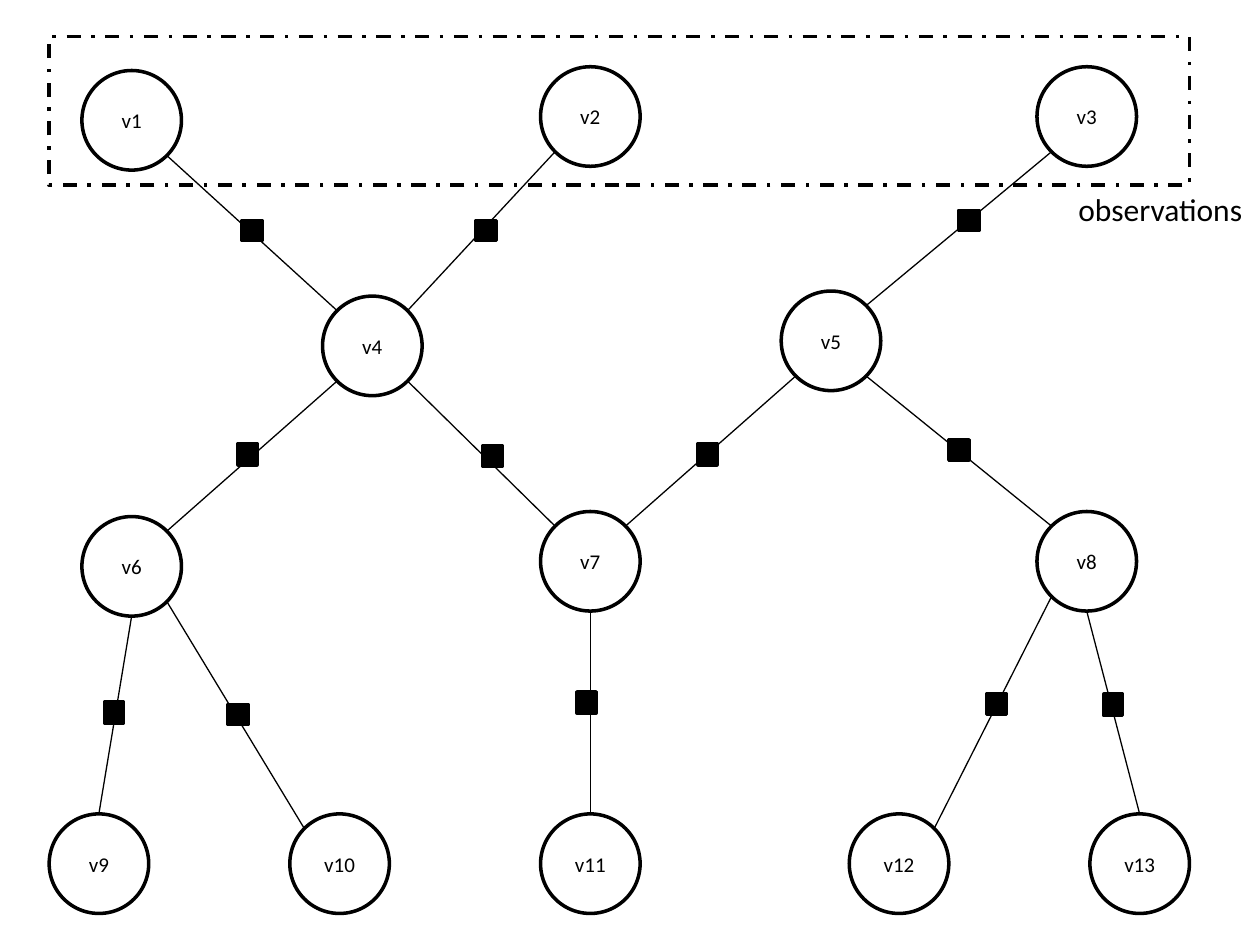
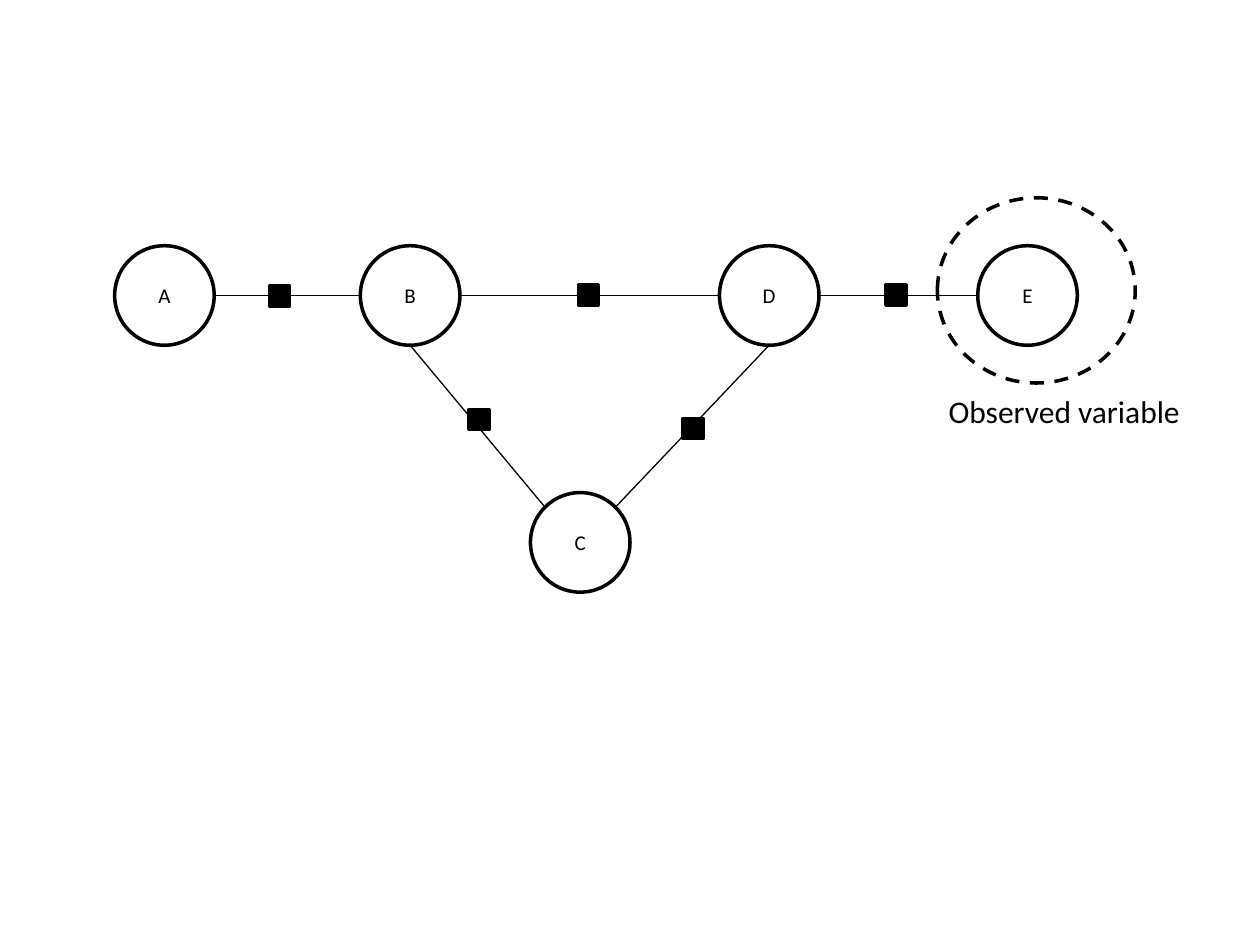
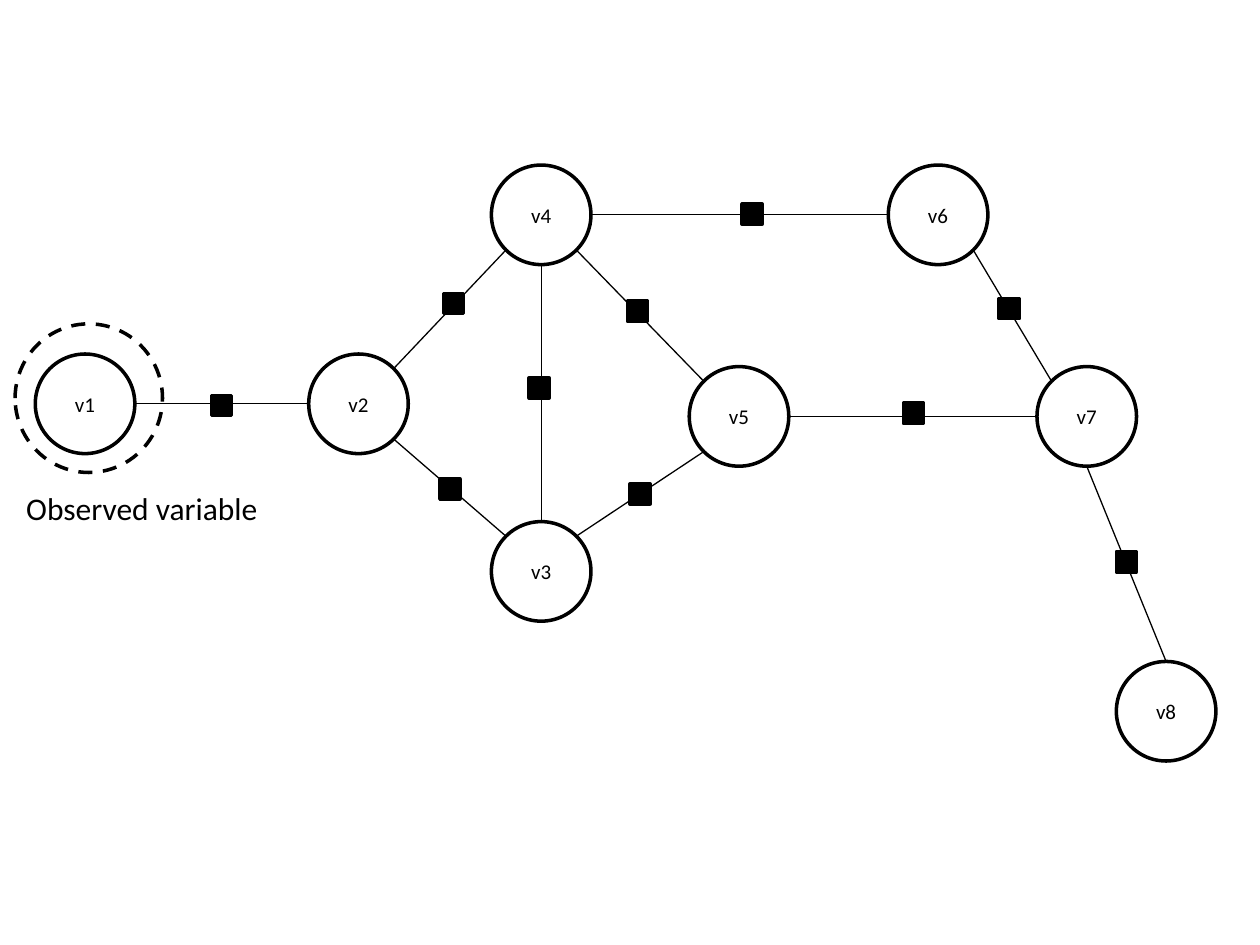
from math import sqrt

from lxml import etree
from pptx import Presentation
from pptx.dml.color import RGBColor
from pptx.enum.dml import MSO_LINE
from pptx.enum.shapes import MSO_CONNECTOR, MSO_SHAPE
from pptx.enum.text import MSO_ANCHOR, MSO_AUTO_SIZE, PP_ALIGN
from pptx.oxml.ns import qn
from pptx.util import Emu, Pt

PX = 9144  # EMU per px, 100 px to the inch
BLACK = RGBColor(0x00, 0x00, 0x00)
WHITE = RGBColor(0xFF, 0xFF, 0xFF)
FONT = "Calibri"
NODE_SIZE = 79
SQUARE = (16, 16)
TALL = (15, 17)

OVAL, RECTANGLE = MSO_SHAPE.OVAL, MSO_SHAPE.RECTANGLE
STRAIGHT = MSO_CONNECTOR.STRAIGHT
DASH, DASH_DOT = MSO_LINE.DASH, MSO_LINE.DASH_DOT
MIDDLE, CENTER, LEFT = MSO_ANCHOR.MIDDLE, PP_ALIGN.CENTER, PP_ALIGN.LEFT
GROW = MSO_AUTO_SIZE.SHAPE_TO_FIT_TEXT

DIAGONAL = 1 / sqrt(2)
# Compass points on a node's outline, as offsets in radii
SITES = {
    "N": (0, -1), "S": (0, 1), "W": (-1, 0), "E": (1, 0),
    "NW": (-DIAGONAL, -DIAGONAL), "NE": (DIAGONAL, -DIAGONAL),
    "SW": (-DIAGONAL, DIAGONAL), "SE": (DIAGONAL, DIAGONAL),
}

# Nodes: left, top. Edges: node, site, node, site, factor left, top, size.
TREE_NODES = {
    "v1": (65, 56), "v2": (429, 53), "v3": (823, 53),
    "v4": (256, 235), "v5": (620, 231),
    "v6": (65, 410), "v7": (429, 406), "v8": (823, 406),
    "v9": (39, 646), "v10": (230, 646), "v11": (429, 646),
    "v12": (674, 646), "v13": (865, 646),
}
TREE_EDGES = [
    ("v1", "SE", "v4", "NW", 192, 175, SQUARE),
    ("v2", "SW", "v4", "NE", 378, 175, SQUARE),
    ("v3", "SW", "v5", "NE", 761, 167, SQUARE),
    ("v5", "SW", "v7", "NE", 554, 352, TALL),
    ("v4", "SW", "v6", "NE", 189, 352, TALL),
    ("v4", "SE", "v7", "NW", 383, 354, SQUARE),
    ("v5", "SE", "v8", "NW", 753, 349, SQUARE),
    ("v6", "SE", "v10", "NW", 181, 559, SQUARE),
    ("v6", "S", "v9", "N", 83, 557, TALL),
    ("v7", "S", "v11", "N", 458, 549, TALL),
    ("v12", "NE", "v8", "SW", 783, 551, SQUARE),
    ("v13", "N", "v8", "S", 876, 551, TALL),
]

TRIANGLE_NODES = {
    "A": (91, 195), "B": (286, 195), "C": (421, 391),
    "D": (571, 195), "E": (776, 195),
}
TRIANGLE_EDGES = [
    ("A", "E", "B", "W", 214, 227, SQUARE),
    ("B", "E", "D", "W", 459, 226, SQUARE),
    ("B", "S", "C", "NW", 372, 325, SQUARE),
    ("C", "NE", "D", "S", 542, 332, SQUARE),
    ("D", "E", "E", "W", 703, 226, SQUARE),
]

LOOP_NODES = {
    "v1": (28, 281), "v2": (245, 281), "v4": (390, 131), "v3": (390, 414),
    "v5": (547, 291), "v6": (705, 131), "v7": (823, 291), "v8": (886, 525),
}
LOOP_EDGES = [
    ("v1", "E", "v2", "W", 168, 314, SQUARE),
    ("v2", "NE", "v4", "SW", 352, 233, SQUARE),
    ("v2", "SE", "v3", "NW", 349, 380, SQUARE),
    ("v4", "SE", "v5", "NW", 498, 239, SQUARE),
    ("v4", "S", "v3", "N", 420, 300, SQUARE),
    ("v3", "NE", "v5", "SW", 500, 384, SQUARE),
    ("v4", "E", "v6", "W", 589, 162, SQUARE),
    ("v6", "SE", "v7", "NW", 793, 237, SQUARE),
    ("v5", "E", "v7", "W", 717, 320, SQUARE),
    ("v7", "S", "v8", "N", 886, 438, SQUARE),
]


def scaled(*lengths):
    return [Emu(round(length * PX)) for length in lengths]


class GraphDeck:
    def __init__(self):
        self.deck = Presentation()
        self.deck.slide_width, self.deck.slide_height = scaled(1000, 750)
        self.slide = None

    def new_slide(self):
        self.slide = self.deck.slides.add_slide(self.deck.slide_layouts[6])

    def outline(self, preset, left, top, width, height, fill=None, dash=None):
        shape = self.slide.shapes.add_shape(preset, *scaled(left, top, width, height))
        shape.shadow.inherit = False
        if fill is None:
            shape.fill.background()
        else:
            shape.fill.solid()
            shape.fill.fore_color.rgb = fill
        shape.line.color.rgb = BLACK
        shape.line.width = Pt(2)
        if dash is not None:
            shape.line.dash_style = dash
        return shape

    def set_text(self, frame, text, size, align):
        frame.text = text
        para = frame.paragraphs[0]
        para.alignment = align
        font = para.runs[0].font
        font.name, font.size, font.color.rgb = FONT, Pt(size), BLACK

    def node(self, name, left, top):
        circle = self.outline(OVAL, left, top, NODE_SIZE, NODE_SIZE, WHITE)
        circle.text_frame.vertical_anchor = MIDDLE
        self.set_text(circle.text_frame, name, 12, CENTER)

    def edge(self, start, end):
        line = self.slide.shapes.add_connector(STRAIGHT, *scaled(*start, *end))
        line.line.color.rgb = BLACK
        line.line.width = Pt(0.75)
        etree.SubElement(line._element.spPr, qn("a:effectLst"))

    def caption(self, text, left, top, width, height):
        box = self.slide.shapes.add_textbox(*scaled(left, top, width, height))
        box.text_frame.word_wrap = False
        box.text_frame.auto_size = GROW
        self.set_text(box.text_frame, text, 18, LEFT)

    def graph(self, nodes, edges):
        """Draw the nodes, then each edge with its factor square."""
        def site_point(name, site):
            radius = NODE_SIZE / 2
            return [corner + radius * (1 + offset)
                    for corner, offset in zip(nodes[name], SITES[site])]

        for name, corner in nodes.items():
            self.node(name, *corner)
        for first, first_site, second, second_site, left, top, size in edges:
            self.outline(RECTANGLE, left, top, *size, BLACK)
            self.edge(site_point(first, first_site), site_point(second, second_site))


def main():
    graphs = GraphDeck()

    graphs.new_slide()
    graphs.graph(TREE_NODES, TREE_EDGES)
    graphs.outline(RECTANGLE, 39, 29, 905, 118, dash=DASH_DOT)
    graphs.caption("observations", 846, 146, 151, 40)

    graphs.new_slide()
    graphs.outline(OVAL, 744, 157, 157, 147, dash=DASH)
    graphs.graph(TRIANGLE_NODES, TRIANGLE_EDGES)
    graphs.caption("Observed variable", 743, 306, 206, 40)

    graphs.new_slide()
    graphs.graph(LOOP_NODES, LOOP_EDGES)
    graphs.outline(OVAL, 12, 257, 117, 118, dash=DASH)
    graphs.caption("Observed variable", 11, 383, 206, 40)

    graphs.deck.save("out.pptx")


if __name__ == "__main__":
    main()
